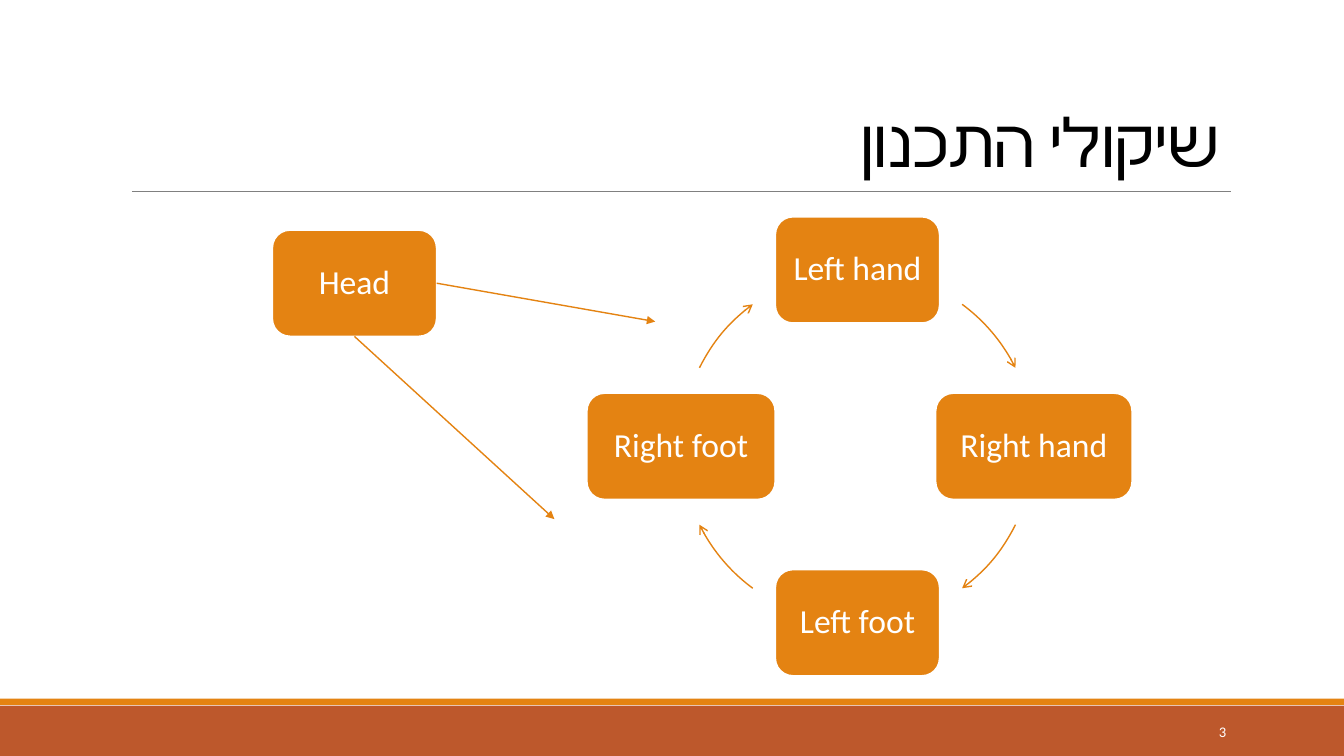
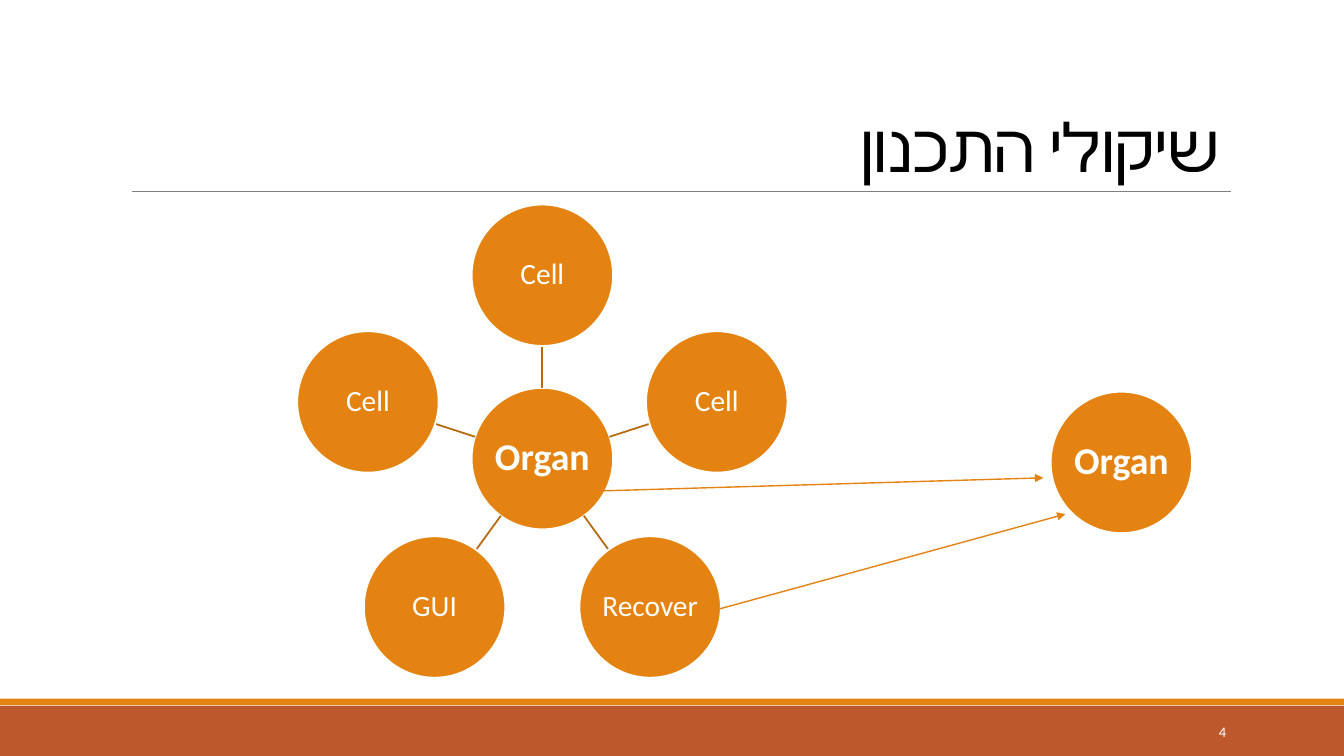
from math import cos, radians, sin

from lxml import etree
from pptx import Presentation
from pptx.dml.color import RGBColor
from pptx.enum.shapes import MSO_CONNECTOR, MSO_SHAPE
from pptx.enum.text import MSO_ANCHOR, PP_ALIGN
from pptx.oxml.ns import qn
from pptx.util import Pt

STRAIGHT = MSO_CONNECTOR.STRAIGHT
RECTANGLE, ROUNDED = MSO_SHAPE.RECTANGLE, MSO_SHAPE.ROUNDED_RECTANGLE
OVAL, ARC = MSO_SHAPE.OVAL, MSO_SHAPE.ARC
CENTER, RIGHT = PP_ALIGN.CENTER, PP_ALIGN.RIGHT
MIDDLE, BOTTOM = MSO_ANCHOR.MIDDLE, MSO_ANCHOR.BOTTOM

COLORS = {
    "accent": "E48312",
    "footer": "BD582C",
    "rule": "808080",
    "spoke": "B7690E",
    "title": "000000",
    "white": "FFFFFF",
}
FONT = "Calibri"
TITLE = "שיקולי התכנון"
SLIDE_WIDTH, SLIDE_HEIGHT = 960, 540
BOX_WIDTH, BOX_HEIGHT = 117.4, 76
CIRCLE_SIZE = 101
CYCLE_CENTER, CYCLE_RADIUS = (612.5, 318.8), 126
STAR_CENTER, STAR_RADIUS = (387.4, 327.6), 131
SPOKE_START, SPOKE_END = 50.4, 80.6


def color(name):
    """Return the palette colour of that name."""
    return RGBColor.from_string(COLORS[name])


def polar(center, radius, angle):
    """Return the point at a clockwise angle in degrees from the right."""
    turn = radians(angle)
    return center[0] + radius * cos(turn), center[1] + radius * sin(turn)


def write_text(shape, text, *, size, ink="white", bold=False, align=CENTER,
               anchor=MIDDLE, spacing=0.9, tracking=0, wrap=False):
    """Write one right-to-left paragraph into a shape."""
    frame = shape.text_frame
    frame.word_wrap = wrap
    frame.vertical_anchor = anchor
    paragraph = frame.paragraphs[0]
    paragraph.alignment = align
    paragraph.line_spacing = spacing
    paragraph._p.get_or_add_pPr().set("rtl", "1")
    run = paragraph.add_run()
    run.text = text
    run.font.size = Pt(size)
    run.font.bold = bold
    run.font.name = FONT
    run.font.color.rgb = color(ink)
    properties = run._r.get_or_add_rPr()
    if tracking:
        properties.set("spc", str(int(tracking * 100)))
    etree.SubElement(properties, qn("a:cs")).set("typeface", FONT)


def add_text(slide, text, left, top, width, height, **text_format):
    """Add a text box."""
    box = slide.shapes.add_textbox(Pt(left), Pt(top), Pt(width), Pt(height))
    write_text(box, text, **text_format)


def add_band(slide, top, height, fill):
    """Add a borderless band across the slide."""
    band = slide.shapes.add_shape(RECTANGLE, 0, Pt(top), Pt(SLIDE_WIDTH), Pt(height))
    band.shadow.inherit = False
    band.fill.solid()
    band.fill.fore_color.rgb = color(fill)
    band.line.fill.background()


def add_node(slide, kind, text, center, width, height, **text_format):
    """Add a labelled, white-edged shape around a centre."""
    node = slide.shapes.add_shape(kind, Pt(center[0] - width / 2), Pt(center[1] - height / 2),
                                  Pt(width), Pt(height))
    node.shadow.inherit = False
    node.fill.solid()
    node.fill.fore_color.rgb = color("accent")
    node.line.color.rgb = color("white")
    node.line.width = Pt(1.25)
    write_text(node, text, **text_format)
    return node


def add_box(slide, text, center, width=BOX_WIDTH):
    """Add a rounded box."""
    return add_node(slide, ROUNDED, text, center, width, BOX_HEIGHT, size=24)


def add_circle(slide, text, center, size=21, bold=False):
    """Add a circle."""
    return add_node(slide, OVAL, text, center, CIRCLE_SIZE, CIRCLE_SIZE, size=size, bold=bold)


def style_line(line, ink, width, head=None):
    """Set a line's colour, width and end arrowhead."""
    line.color.rgb = color(ink)
    line.width = Pt(width)
    if head:
        etree.SubElement(line._get_or_add_ln(), qn("a:tailEnd")).set("type", head)


def add_line(slide, start, end, ink="accent", width=1, head=None):
    """Add a straight connector."""
    connector = slide.shapes.add_connector(STRAIGHT, *(Pt(value) for value in (*start, *end)))
    style_line(connector.line, ink, width, head)
    etree.SubElement(connector._element.spPr, qn("a:effectLst"))
    return connector


def add_arc_arrow(slide, center, radius, start, end):
    """Add a clockwise arc with an arrowhead."""
    arc = slide.shapes.add_shape(ARC, Pt(center[0] - radius), Pt(center[1] - radius),
                                 Pt(2 * radius), Pt(2 * radius))
    arc.shadow.inherit = False
    arc.fill.background()
    for index, angle in enumerate((start, end)):
        arc.adjustments[index] = angle % 360 * 0.6
    style_line(arc.line, "accent", 1, "arrow")


def add_base_slide(presentation, number, title_top):
    """Add a slide with the bands, rule, title and number."""
    slide = presentation.slides.add_slide(presentation.slide_layouts[6])
    add_band(slide, 504, 36, "footer")
    add_band(slide, 499, 4.6, "accent")
    add_line(slide, (94.3, 136.8), (879.1, 136.8), "rule", 0.5)
    add_text(slide, TITLE, 86.4, title_top, 792, 114.5, size=48, ink="title", align=RIGHT,
             anchor=BOTTOM, spacing=0.85, tracking=-0.5, wrap=True)
    add_text(slide, str(number), 780, 508.4, 103, 28.8, size=10.5, align=RIGHT,
             spacing=1, wrap=True)
    return slide


def add_limb_cycle(slide):
    """Draw the cycle of limbs and the head that points to it."""
    limbs = [("Left hand", BOX_WIDTH), ("Right hand", 140.4),
             ("Left foot", BOX_WIDTH), ("Right foot", 134.6)]
    for index, (text, width) in enumerate(limbs):
        angle = index * 90 - 90
        add_box(slide, text, polar(CYCLE_CENTER, CYCLE_RADIUS, angle), width)
        start = angle + (26.4 if index % 2 else 36.4)
        add_arc_arrow(slide, CYCLE_CENTER, CYCLE_RADIUS, start, start + 27.2)
    center = (253.2, 202.3)
    head = add_box(slide, "Head", center)
    for side, end in ((3, (468, 229.7)), (2, (396, 370.8))):
        add_line(slide, center, end, head="triangle").begin_connect(head, side)


def add_organ_star(slide):
    """Draw an organ with its parts and links to another organ."""
    add_circle(slide, "Organ", STAR_CENTER, 27, True)
    for index, text in enumerate(["Cell", "Cell", "Recover", "GUI", "Cell"]):
        angle = index * 72 - 90
        add_line(slide, polar(STAR_CENTER, SPOKE_START, angle),
                 polar(STAR_CENTER, SPOKE_END, angle), "spoke", 1.25)
        add_circle(slide, text, polar(STAR_CENTER, STAR_RADIUS, angle))
    add_line(slide, (514.1, 434.9), (761, 367.2), head="triangle")
    add_line(slide, (431.3, 350.6), (745.2, 341.3), head="triangle")
    add_circle(slide, "Organ", (801, 330.3), 27, True)


def main():
    """Build and save the presentation."""
    presentation = Presentation()
    presentation.slide_width = Pt(SLIDE_WIDTH)
    presentation.slide_height = Pt(SLIDE_HEIGHT)
    add_limb_cycle(add_base_slide(presentation, 3, 18.7))
    add_organ_star(add_base_slide(presentation, 4, 22.3))
    presentation.save("out.pptx")


if __name__ == "__main__":
    main()
